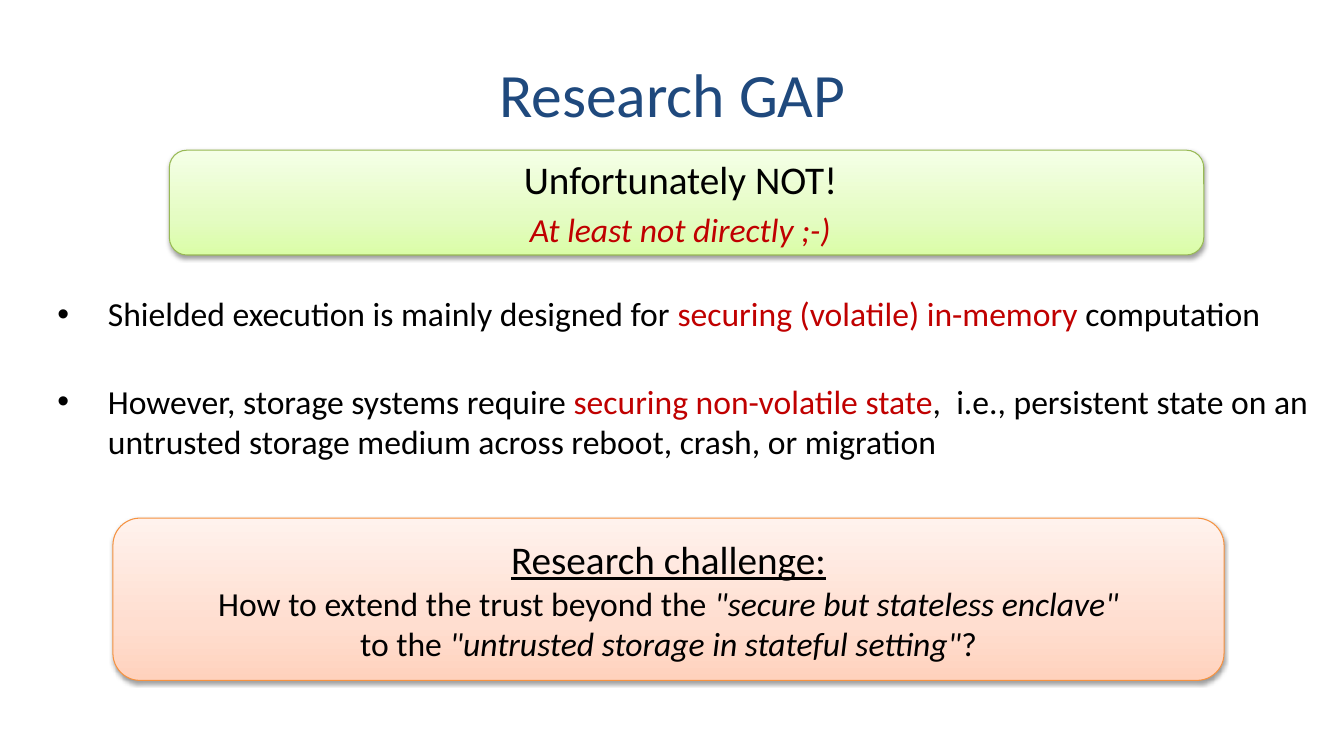
"""Build the Research GAP slide."""
from copy import deepcopy
from dataclasses import dataclass

from lxml.etree import SubElement as Sub
from pptx import Presentation
from pptx.dml.color import RGBColor as Rgb
from pptx.enum.shapes import MSO_SHAPE as Shape
from pptx.enum.text import MSO_ANCHOR as Anchor, MSO_AUTO_SIZE as Auto, PP_ALIGN as Align
from pptx.oxml.ns import qn
from pptx.util import Inches, Pt


@dataclass(frozen=True)
class Theme:
    font: str = "Calibri"
    black: str = "000000"
    red: str = "C00000"
    navy: str = "1F497D"
    green: tuple = ("DAFDA7", "E4FCC2", "F5FFE7")
    peach: tuple = ("FFD2BD", "FFDED0", "FFF2ED")
    green_edge: str = "98B955"
    peach_edge: str = "F69240"
    title: int = 44
    head: int = 28
    text: int = 24


LOOK = Theme()


@dataclass(frozen=True)
class Run:
    text: str
    size: int = LOOK.text
    color: str = LOOK.black
    slant: bool = False
    under: bool = False


@dataclass(frozen=True)
class Para:
    runs: tuple
    before: float = 0
    bullet: bool = False
    align: Align = Align.CENTER


@dataclass(frozen=True)
class Panel:
    box: tuple
    stops: tuple
    edge: str
    paras: tuple
    right: float = 0.1


TITLE = (Para((Run("Research GAP", LOOK.title, LOOK.navy),)),)
POINTS = (
    Para((Run("Shielded execution is mainly designed for "),
          Run("securing (volatile) in-memory ", color=LOOK.red),
          Run("computation")), bullet=True, align=Align.LEFT),
    Para((Run("However, storage systems require "),
          Run("securing non-volatile state", color=LOOK.red),
          Run(",  i.e., persistent state on an untrusted storage medium "
              "across reboot, crash, or migration")),
         before=33.6, bullet=True, align=Align.LEFT),
)
PANELS = (
    Panel((1.68, 1.49, 10.26, 1.04), LOOK.green, LOOK.green_edge, (
        Para((Run("Unfortunately NOT!", LOOK.head),)),
        Para((Run("At least not directly ;-)", color=LOOK.red, slant=True),), before=4.8),
    ), right=0.22),
    Panel((1.12, 5.14, 11.02, 1.61), LOOK.peach, LOOK.peach_edge, (
        Para((Run("Research challenge:", LOOK.head, under=True),)),
        Para((Run("How to extend the trust beyond the "),
              Run('"secure but stateless enclave"', slant=True),
              Run("\n"),
              Run("to the "),
              Run('"untrusted storage in stateful setting"', slant=True),
              Run("?"))),
    )),
)


def place(shape, box: tuple) -> None:
    """Move and size a shape in inches."""
    shape.left, shape.top, shape.width, shape.height = map(Inches, box)


def add_bullet(para) -> None:
    """Give a paragraph a hanging bullet."""
    props = para._p.get_or_add_pPr()
    props.set("marL", str(Inches(0.5)))
    props.set("indent", str(Inches(-0.5)))
    Sub(props, qn("a:buChar"), char="•")


def write(frame, paras: tuple, anchor: Anchor) -> None:
    """Fill a text frame run by run."""
    frame.word_wrap = True
    frame.auto_size = Auto.NONE
    frame.vertical_anchor = anchor
    for i, item in enumerate(paras):
        para = frame.add_paragraph() if i else frame.paragraphs[0]
        if item.bullet:
            add_bullet(para)
        para.alignment = item.align
        para.space_before = Pt(item.before)
        for part in item.runs:
            if part.text == "\n":
                para.add_line_break()
                continue
            run = para.add_run()
            run.text = part.text
            font = run.font
            font.name, font.size = LOOK.font, Pt(part.size)
            font.color.rgb = Rgb.from_string(part.color)
            font.italic, font.underline = part.slant, part.under


def shade(shape, colors: tuple) -> None:
    """Fill a shape with three stops rising from the bottom."""
    fill = shape.fill
    fill.gradient()
    fill.gradient_angle = 90
    stops = shape._element.spPr.find(qn("a:gradFill")).find(qn("a:gsLst"))
    stops.insert(1, deepcopy(stops[0]))
    for stop, spot, color in zip(fill.gradient_stops, (0, 0.35, 1), colors):
        stop.position = spot
        stop.color.rgb = Rgb.from_string(color)


def cast(shape) -> None:
    """Add a soft shadow below a shape."""
    shape.shadow.inherit = False
    effects = shape._element.spPr.find(qn("a:effectLst"))
    outer = Sub(effects, qn("a:outerShdw"), blurRad=str(Pt(3.1)), dist=str(Pt(1.6)),
                dir="5400000", rotWithShape="0")
    color = Sub(outer, qn("a:srgbClr"), val=LOOK.black)
    Sub(color, qn("a:alpha"), val="38000")


def add_panel(slide, panel: Panel) -> None:
    """Draw one rounded panel with its text."""
    shape = slide.shapes.add_shape(Shape.ROUNDED_RECTANGLE, *map(Inches, panel.box))
    shade(shape, panel.stops)
    shape.line.color.rgb = Rgb.from_string(panel.edge)
    shape.line.width = Pt(0.75)
    cast(shape)
    shape.text_frame.margin_right = Inches(panel.right)
    write(shape.text_frame, panel.paras, Anchor.MIDDLE)


def main() -> None:
    """Build and save the slide."""
    deck = Presentation()
    deck.slide_width, deck.slide_height = Inches(13.33), Inches(7.5)
    slide = deck.slides.add_slide(deck.slide_layouts[1])
    title, body = slide.shapes.title, slide.placeholders[1]
    place(title, (0.67, 0.3, 12, 1.25))
    write(title.text_frame, TITLE, Anchor.MIDDLE)
    place(body, (0.47, 2.86, 12.77, 3.7))
    write(body.text_frame, POINTS, Anchor.TOP)
    for panel in PANELS:
        add_panel(slide, panel)
    deck.save("out.pptx")


if __name__ == "__main__":
    main()
